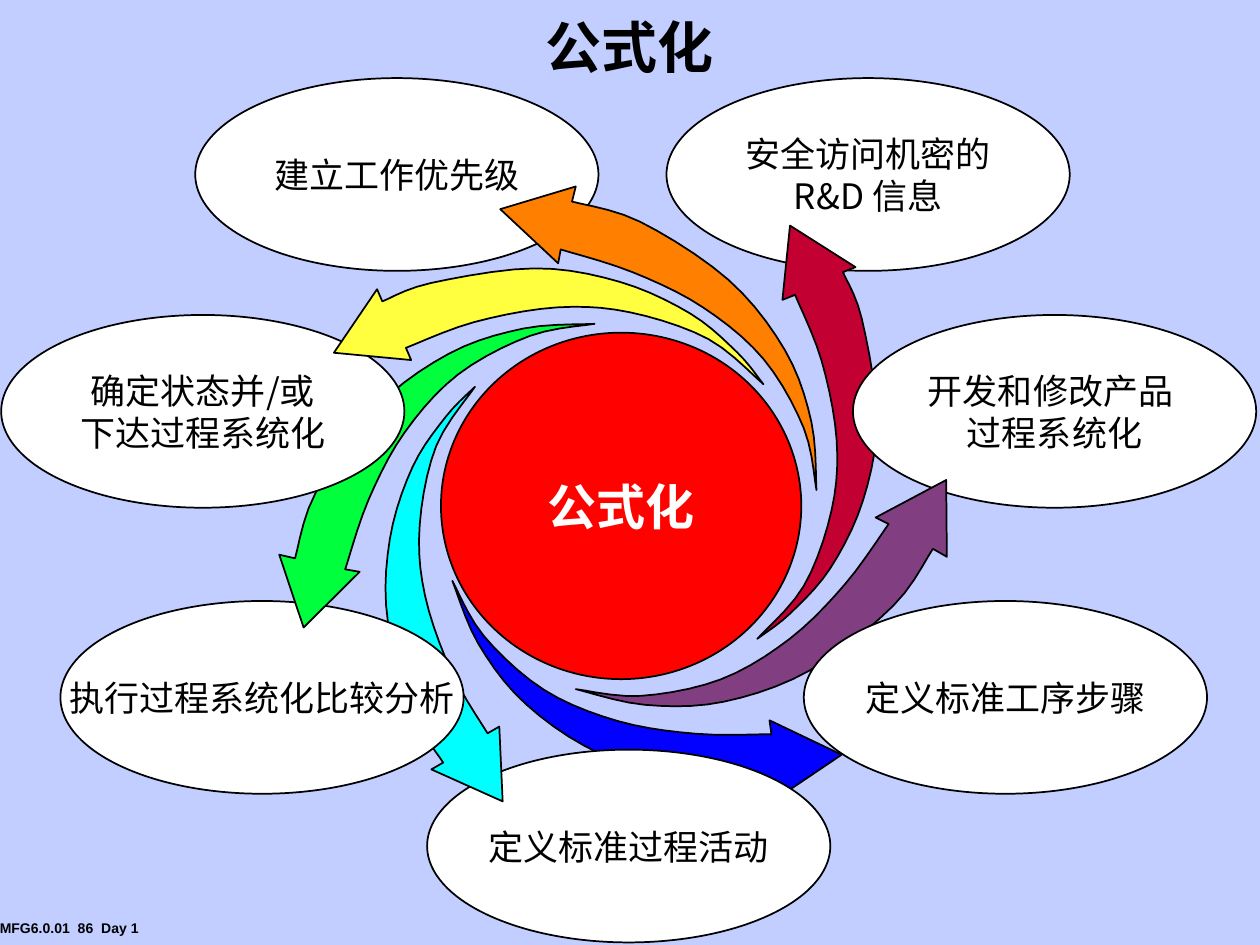
from dataclasses import dataclass
from typing import NamedTuple

from pptx import Presentation
from pptx.dml.color import RGBColor
from pptx.enum.shapes import MSO_SHAPE
from pptx.enum.text import MSO_ANCHOR, MSO_AUTO_SIZE, PP_ALIGN
from pptx.oxml.ns import qn
from pptx.util import Emu, Pt

PX = 9144
PAGE_WIDTH, PAGE_HEIGHT = 1000, 750
OVAL_WIDTH, OVAL_HEIGHT = 320, 153
STEPS = 5


@dataclass(frozen=True)
class Theme:
    """Colours, fonts and type sizes of the slide."""
    background: str = "C1CEFF"
    ink: str = "000000"
    paper: str = "FFFFFF"
    hub: str = "FF0200"
    orange: str = "FF8000"
    crimson: str = "C20032"
    purple: str = "813F81"
    blue: str = "0200FF"
    cyan: str = "00FFFF"
    green: str = "00FF3C"
    yellow: str = "FFFF40"
    cjk_font: str = "Noto Sans CJK SC"
    footer_font: str = "Arial"
    title_size: int = 32
    hub_size: int = 28
    label_size: int = 20
    footer_size: int = 8
    outline: int = 1


class Point(NamedTuple):
    """A position in px."""
    x: float
    y: float


class Anchors(NamedTuple):
    """Three points that fix the place and slant of an arrow."""
    tip: Point
    belly: Point
    tail: Point


class Bend(NamedTuple):
    """A curved arrow outline: head corners, then edges to and from the tail."""
    anchors: Anchors
    head: list[Point]
    outer: list[Point]
    inner: list[Point]


class Swoosh(NamedTuple):
    """A coloured arrow that fits a bend to its own anchors."""
    color: str
    bend: Bend
    anchors: Anchors


class Oval(NamedTuple):
    """A labelled ellipse."""
    left: int
    top: int
    text: str
    width: int = OVAL_WIDTH
    height: int = OVAL_HEIGHT
    is_hub: bool = False


def points(*numbers: int) -> list[Point]:
    """Pair up alternating x and y values."""
    return [Point(x, y) for x, y in zip(numbers[::2], numbers[1::2])]


def anchors(*numbers: int) -> Anchors:
    """Read tip, belly and tail from six values."""
    return Anchors(*points(*numbers))


THEME = Theme()

WIDE = Bend(anchors(397, 166, 578, 222, 648, 389),
            points(445, 198, 443, 209, 397, 166, 457, 148, 454, 160),
            points(508, 176, 578, 222, 623, 278, 644, 335),
            points(638, 340, 606, 285, 558, 244, 502, 216))
SLIM = Bend(anchors(627, 179, 696, 332, 601, 507),
            points(631, 234, 621, 238, 627, 179, 679, 212, 669, 216),
            points(684, 253, 696, 332, 685, 397, 659, 451, 627, 487),
            points(638, 465, 660, 405, 664, 349, 652, 286))

WHEEL = [
    Oval(155, 62, "建立工作优先级"),
    Oval(529, 62, "安全访问机密的\nR&D 信息"),
    Oval(350, 264, "公式化", 286, 275, True),
    Swoosh(THEME.orange, WIDE, WIDE.anchors),
    Swoosh(THEME.crimson, SLIM, SLIM.anchors),
    Oval(677, 250, "开发和修改产品 \n过程系统化"),
    Swoosh(THEME.purple, WIDE, anchors(751, 381, 643, 532, 457, 547)),
    Oval(638, 477, "定义标准工序步骤"),
    Swoosh(THEME.blue, WIDE, anchors(668, 599, 478, 599, 359, 461)),
    Oval(339, 595, "定义标准过程活动"),
    Swoosh(THEME.cyan, SLIM, anchors(399, 636, 308, 494, 377, 307)),
    Oval(48, 477, "执行过程系统化比较分析"),
    Swoosh(THEME.green, WIDE, anchors(241, 498, 298, 324, 472, 257)),
    Oval(1, 250, "确定状态并/或\v下达过程系统化"),
    Swoosh(THEME.yellow, SLIM, anchors(265, 280, 424, 213, 606, 305)),
]


def emu(*lengths: float) -> list[Emu]:
    """Turn px lengths into EMU."""
    return [Emu(round(length * PX)) for length in lengths]


def write(shape, text: str, size: int, color: str, font: str, bold: bool = False) -> None:
    """Put centred, formatted text into a shape."""
    shape.text_frame.text = text
    for para in shape.text_frame.paragraphs:
        para.alignment = PP_ALIGN.CENTER
        for span in para.runs:
            span.font.size = Pt(size)
            span.font.bold = bold
            span.font.name = font
            span.font.color.rgb = RGBColor.from_string(color)
            east_asian = span.font._element.makeelement(qn("a:ea"), {"typeface": font})
            span.font._element.find(qn("a:latin")).addnext(east_asian)


def paint(shape, color: str) -> None:
    """Give a shape a flat fill and a thin outline."""
    shape.shadow.inherit = False
    shape.fill.solid()
    shape.fill.fore_color.rgb = RGBColor.from_string(color)
    shape.line.color.rgb = RGBColor.from_string(THEME.ink)
    shape.line.width = Pt(THEME.outline)


def spline(knots: list[Point]) -> list[Point]:
    """Return a smooth run of points through the knots, without the first one."""
    padded = [knots[0], *knots, knots[-1]]
    return [Point(*(b + ((c - a) * t + (2 * a - 5 * b + 4 * c - d) * t ** 2
                         + (3 * b - a - 3 * c + d) * t ** 3) / 2
                    for a, b, c, d in zip(*window)))
            for window in zip(padded, padded[1:], padded[2:], padded[3:])
            for t in (step / STEPS for step in range(1, STEPS + 1))]


def fit(point: Point, source: Anchors, target: Anchors) -> Point:
    """Carry a point from one set of anchors to another."""
    def cross(first: Point, second: Point, third: Point) -> float:
        return ((second.x - first.x) * (third.y - first.y)
                - (second.y - first.y) * (third.x - first.x))

    area = cross(*source)
    along_belly = cross(source.tip, point, source.tail) / area
    along_tail = cross(source.tip, source.belly, point) / area
    return Point(*(tip + along_belly * (belly - tip) + along_tail * (tail - tip)
                   for tip, belly, tail in zip(*target)))


def draw_oval(page, oval: Oval) -> None:
    """Draw one ellipse with its label."""
    box = page.shapes.add_shape(
        MSO_SHAPE.OVAL, *emu(oval.left, oval.top, oval.width, oval.height))
    paint(box, THEME.hub if oval.is_hub else THEME.paper)
    box.text_frame.word_wrap = False
    box.text_frame.vertical_anchor = MSO_ANCHOR.MIDDLE
    size, color = ((THEME.hub_size, THEME.paper) if oval.is_hub
                   else (THEME.label_size, THEME.ink))
    write(box, oval.text, size, color, THEME.cjk_font, oval.is_hub)


def draw_swoosh(page, swoosh: Swoosh) -> None:
    """Draw one curved arrow."""
    bend = swoosh.bend
    outer = spline([bend.head[-1], *bend.outer, bend.anchors.tail])
    inner = spline([bend.anchors.tail, *bend.inner, bend.head[0]])
    outline = [emu(*fit(point, bend.anchors, swoosh.anchors))
               for point in [*bend.head, *outer, *inner[:-1]]]
    builder = page.shapes.build_freeform(*outline[0])
    builder.add_line_segments(outline[1:], close=True)
    paint(builder.convert_to_shape(), swoosh.color)


def main() -> None:
    """Build the slide."""
    deck = Presentation()
    deck.slide_width, deck.slide_height = emu(PAGE_WIDTH, PAGE_HEIGHT)
    page = deck.slides.add_slide(deck.slide_layouts.get_by_name("Title Only"))
    page.background.fill.solid()
    page.background.fill.fore_color.rgb = RGBColor.from_string(THEME.background)
    footer = page.shapes.add_textbox(*emu(-31, 725, 172, 23))
    footer.text_frame.word_wrap = False
    write(footer, "MFG6.0.01  86  Day 1", THEME.footer_size, THEME.ink, THEME.footer_font, True)
    title = page.shapes.title
    title.left, title.top, title.width, title.height = emu(0, 6, 999, 68)
    title.text_frame.vertical_anchor = MSO_ANCHOR.MIDDLE
    title.text_frame.auto_size = MSO_AUTO_SIZE.NONE
    write(title, "公式化", THEME.title_size, THEME.ink, THEME.cjk_font, True)
    title.text_frame.paragraphs[0].line_spacing = 0.9
    for part in WHEEL:
        draw = draw_oval if isinstance(part, Oval) else draw_swoosh
        draw(page, part)
    deck.save("out.pptx")


if __name__ == "__main__":
    main()
